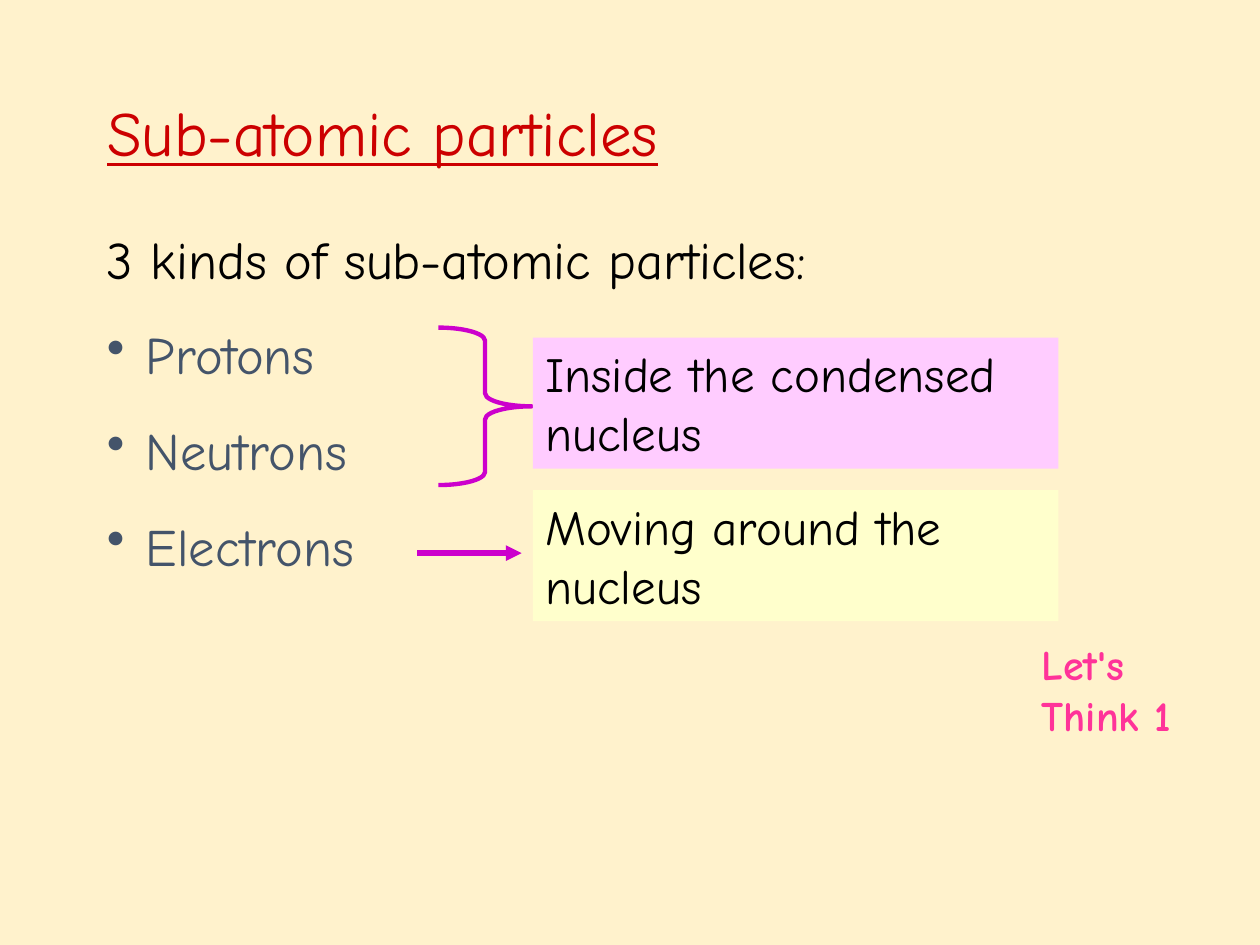
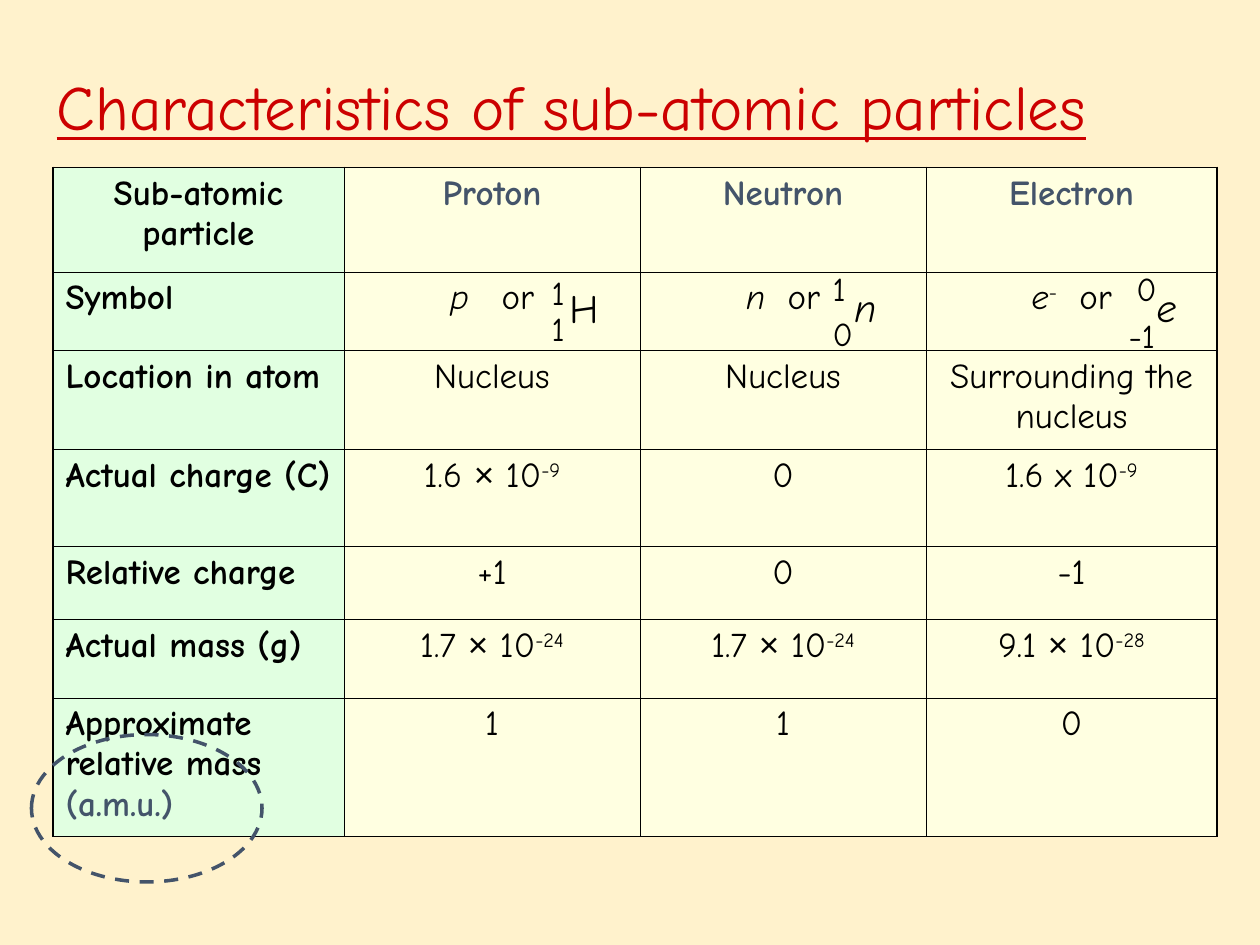
from dataclasses import dataclass
from typing import Optional, Union

from lxml.etree import SubElement
from pptx import Presentation
from pptx.dml.color import RGBColor
from pptx.enum.dml import MSO_LINE
from pptx.enum.shapes import MSO_CONNECTOR, MSO_SHAPE
from pptx.enum.text import MSO_ANCHOR, MSO_AUTO_SIZE, PP_ALIGN
from pptx.oxml import parse_xml
from pptx.oxml.ns import nsdecls, qn
from pptx.util import Emu, Pt

SCALE = 9144
FACE = "Comic Neue"
SIGN_FACE = "Arial"

CREAM = RGBColor(0xFF, 0xF2, 0xCC)
RED = RGBColor(0xCC, 0x00, 0x00)
BLACK = RGBColor(0x00, 0x00, 0x00)
SLATE = RGBColor(0x44, 0x54, 0x6A)
PURPLE = RGBColor(0xCC, 0x00, 0xCC)
PINK = RGBColor(0xFF, 0x33, 0x99)
LILAC = RGBColor(0xFF, 0xCC, 0xFF)
LEMON = RGBColor(0xFF, 0xFF, 0xCC)
MINT = RGBColor(0xE1, 0xFF, 0xE1)
IVORY = RGBColor(0xFF, 0xFF, 0xE1)

THICK_BORDER = 1.08
THIN_BORDER = 0.45


@dataclass(frozen=True)
class Area:
    left: int
    top: int
    width: int
    height: int

    def emu(self) -> tuple:
        return px(self.left), px(self.top), px(self.width), px(self.height)


@dataclass(frozen=True)
class Label:
    text: str
    area: Area
    size: float
    color: RGBColor = BLACK
    bold: bool = False
    italic: bool = False
    fill: Optional[RGBColor] = None
    wrap: bool = True


@dataclass(frozen=True)
class Span:
    text: str
    italic: bool = False
    raised: bool = False
    face: Optional[str] = None
    color: Optional[RGBColor] = None
    spread: int = 0


Content = Union[str, tuple]


def px(length: int) -> Emu:
    return Emu(length * SCALE)


def style(para, size: float, color: RGBColor, bold: bool = False, italic: bool = False) -> None:
    font = para.font
    font.name = FACE
    font.size = Pt(size)
    font.color.rgb = color
    font.bold = bold
    font.italic = italic


def add_title_page(deck, text: str, area: Area):
    page = deck.slides.add_slide(deck.slide_layouts[5])
    title = page.shapes.title
    title.left, title.top, title.width, title.height = area.emu()
    frame = title.text_frame
    frame.text = text
    frame.word_wrap = True
    frame.auto_size = MSO_AUTO_SIZE.NONE
    frame.vertical_anchor = MSO_ANCHOR.MIDDLE
    para = frame.paragraphs[0]
    para.alignment = PP_ALIGN.LEFT
    style(para, 36, RED)
    para.font.underline = True
    return page


def add_label(page, label: Label) -> None:
    box = page.shapes.add_textbox(*label.area.emu())
    if label.fill is not None:
        box.fill.solid()
        box.fill.fore_color.rgb = label.fill
    frame = box.text_frame
    frame.word_wrap = label.wrap
    frame.text = label.text
    style(frame.paragraphs[0], label.size, label.color, label.bold, label.italic)


def add_bullet(para, color: RGBColor) -> None:
    props = para._p.get_or_add_pPr()
    bullet_color = SubElement(props, qn("a:buClr"))
    SubElement(bullet_color, qn("a:srgbClr"), val=str(color))
    SubElement(props, qn("a:buChar"), char="•")


def add_particle_list(page, heading: str, particles: tuple, area: Area) -> None:
    frame = page.shapes.add_textbox(*area.emu()).text_frame
    frame.word_wrap = True
    frame.text = "\n".join((heading, *particles))
    for index, para in enumerate(frame.paragraphs):
        props = para._p.get_or_add_pPr()
        props.set("marL", str(px(31)))
        props.set("indent", str(px(-31)))
        if index:
            para.space_before = Pt(18.7)
            add_bullet(para, SLATE)
        style(para, 30, SLATE if index else BLACK)


def add_outline(page, kind: MSO_SHAPE, area: Area, color: RGBColor, width: float):
    shape = page.shapes.add_shape(kind, *area.emu())
    shape.shadow.inherit = False
    shape.fill.background()
    shape.line.color.rgb = color
    shape.line.width = Pt(width)
    return shape


def add_arrow(page, left: int, right: int, middle: int) -> None:
    arrow = page.shapes.add_connector(
        MSO_CONNECTOR.STRAIGHT, px(left), px(middle), px(right), px(middle))
    arrow.line.color.rgb = PURPLE
    arrow.line.width = Pt(3)
    SubElement(arrow.line._get_or_add_ln(), qn("a:tailEnd"), type="triangle")
    SubElement(arrow._element.spPr, qn("a:effectLst"))


def write_spans(para, content: Content) -> None:
    spans = (Span(content),) if isinstance(content, str) else content
    for span in spans:
        run = para.add_run()
        run.text = span.text
        if span.italic:
            run.font.italic = True
        if span.face:
            run.font.name = span.face
        if span.color is not None:
            run.font.color.rgb = span.color
        if span.raised:
            run._r.get_or_add_rPr().set("baseline", "30000")
        if span.spread:
            run._r.get_or_add_rPr().set("spc", str(span.spread * 100))


def set_borders(cell, widths: dict) -> None:
    props = cell._tc.get_or_add_tcPr()
    for index, (side, width) in enumerate(widths.items()):
        props.insert(index, parse_xml(
            f'<a:ln{side} {nsdecls("a")} w="{Pt(width)}"><a:solidFill>'
            f'<a:srgbClr val="{BLACK}"/></a:solidFill></a:ln{side}>'))


def add_grid(page, rows: tuple, widths: tuple, heights: tuple, left: int, top: int) -> None:
    area = Area(left, top, sum(widths), sum(heights))
    table = page.shapes.add_table(len(rows), len(widths), *area.emu()).table
    table.first_row = table.horz_banding = False
    for column, width in zip(table.columns, widths):
        column.width = px(width)
    for line, height in zip(table.rows, heights):
        line.height = px(height)
    last_row, last_column = len(rows) - 1, len(widths) - 1
    for r, row in enumerate(rows):
        for c, content in enumerate(row):
            cell = table.cell(r, c)
            cell.fill.solid()
            cell.fill.fore_color.rgb = IVORY if c else MINT
            edges = {"L": c == 0, "R": c == last_column, "T": r == 0, "B": r == last_row}
            set_borders(cell, {side: THICK_BORDER if outer else THIN_BORDER
                               for side, outer in edges.items()})
            para = cell.text_frame.paragraphs[0]
            para.alignment = PP_ALIGN.LEFT if r and not c else PP_ALIGN.CENTER
            write_spans(para, content)
            style(para, 20, SLATE if c and not r else BLACK, bold=not (r and c))


def power(factor: str, exponent: str) -> tuple:
    return (Span(f"{factor} "), Span("×", face=SIGN_FACE), Span(" 10"),
            Span(exponent, raised=True))


def symbol(letter: str, spread: int, charge: str = "") -> tuple:
    sign = (Span(charge, raised=True),) if charge else ()
    return (Span(letter, italic=True), *sign, Span(" ", spread=spread), Span("or"))


def nuclide_number(text: str, left: int, top: int, width: int) -> Label:
    return Label(text, Area(left, top, width, 42), 19)


def nuclide_letter(text: str, left: int, top: int, width: int, italic: bool = True) -> Label:
    return Label(text, Area(left, top, width, 49), 23, italic=italic)


PLACE_LABELS = (
    Label("Inside the condensed nucleus", Area(423, 268, 417, 104), 28, fill=LILAC),
    Label("Moving around the nucleus", Area(423, 389, 417, 104), 28, fill=LEMON),
    Label("Let's Think 1", Area(817, 502, 133, 78), 24, PINK, bold=True, wrap=False),
)

CHARACTERISTICS = (
    ("Sub-atomic particle", "Proton", "Neutron", "Electron"),
    ("Symbol", symbol("p", 12), symbol("n", 6), symbol("e", 6, "-")),
    ("Location in atom", "Nucleus", "Nucleus", "Surrounding the nucleus"),
    ("Actual charge (C)", power("1.6", "-9"), "0",
     (Span("1.6 x 10"), Span("-9", raised=True))),
    ("Relative charge", "+1", "0", "-1"),
    ("Actual mass (g)", power("1.7", "-24"), power("1.7", "-24"), power("9.1", "-28")),
    ((Span("Approximate relative mass "), Span("(a.m.u.)", color=SLATE)), "1", "1", "0"),
)
COLUMN_WIDTHS = (231, 235, 227, 231)
ROW_HEIGHTS = (83, 62, 79, 77, 58, 62, 110)

NUCLIDES = (
    nuclide_letter("H", 442, 220, 78, italic=False),
    nuclide_number("1", 428, 211, 28),
    nuclide_number("1", 428, 240, 28),
    nuclide_letter("n", 668, 219, 92),
    nuclide_number("1", 651, 208, 33),
    nuclide_number("0", 651, 244, 33),
    nuclide_letter("e", 908, 219, 92),
    nuclide_number("0", 892, 208, 33),
    nuclide_number("-1", 886, 245, 47),
)


def build_particles(deck) -> None:
    page = add_title_page(deck, "Sub-atomic particles", Area(75, 67, 580, 75))
    add_particle_list(page, "3 kinds of sub-atomic particles:",
                      ("Protons", "Neutrons", "Electrons"), Area(75, 175, 800, 288))
    brace = add_outline(page, MSO_SHAPE.RIGHT_BRACE, Area(348, 260, 74, 125), PURPLE, 2.5)
    brace.adjustments[0] = 0.14
    add_arrow(page, 331, 414, 439)
    for label in PLACE_LABELS:
        add_label(page, label)


def build_characteristics(deck) -> None:
    page = add_title_page(deck, "Characteristics of sub-atomic particles",
                          Area(35, 46, 940, 75))
    add_grid(page, CHARACTERISTICS, COLUMN_WIDTHS, ROW_HEIGHTS, 42, 133)
    for label in NUCLIDES:
        add_label(page, label)
    ring = add_outline(page, MSO_SHAPE.OVAL, Area(25, 583, 183, 117), SLATE, 2)
    ring.line.dash_style = MSO_LINE.DASH


def main() -> None:
    deck = Presentation()
    deck.slide_width, deck.slide_height = px(1000), px(750)
    backdrop = deck.slide_master.background.fill
    backdrop.solid()
    backdrop.fore_color.rgb = CREAM
    build_particles(deck)
    build_characteristics(deck)
    deck.save("out.pptx")


if __name__ == "__main__":
    main()
